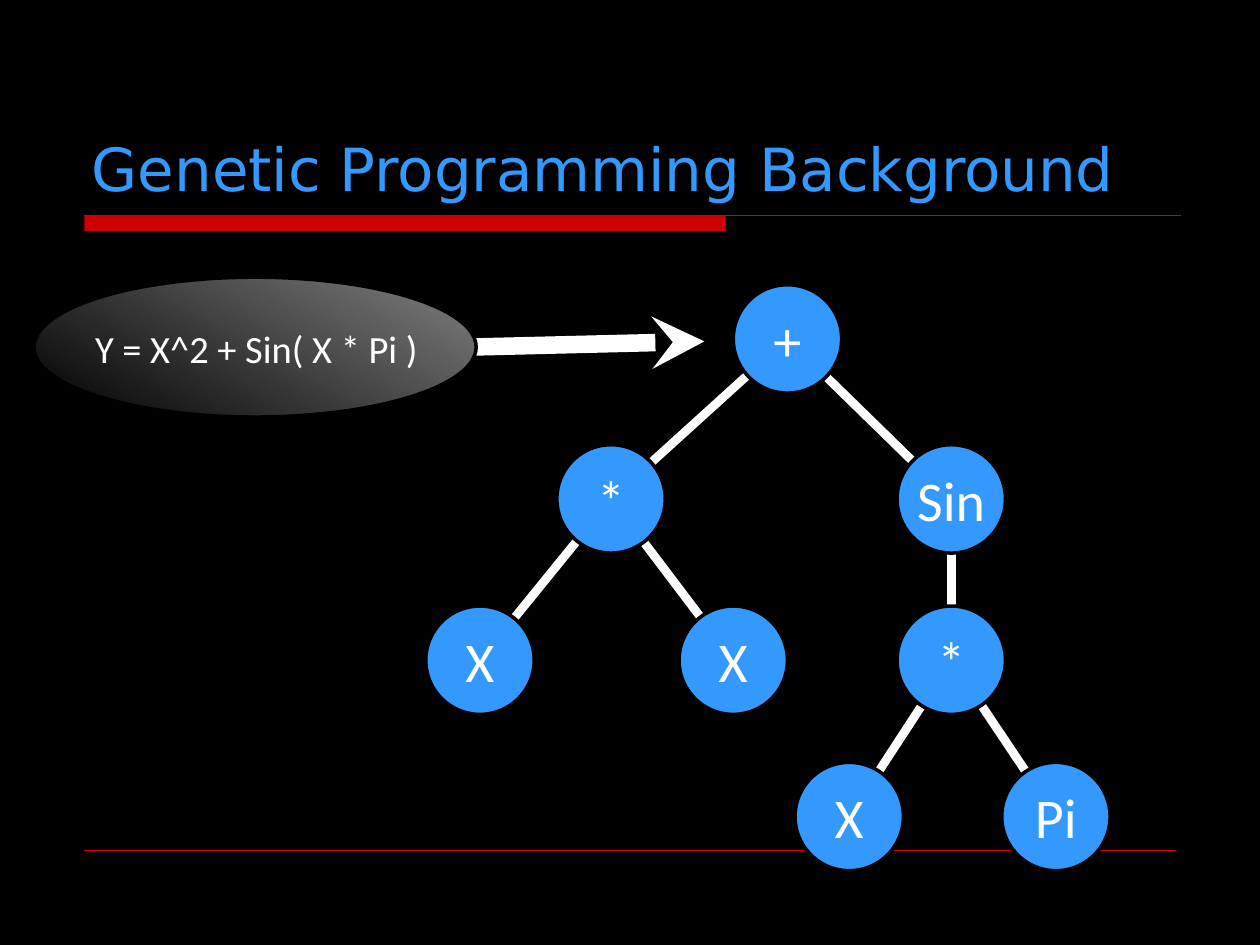
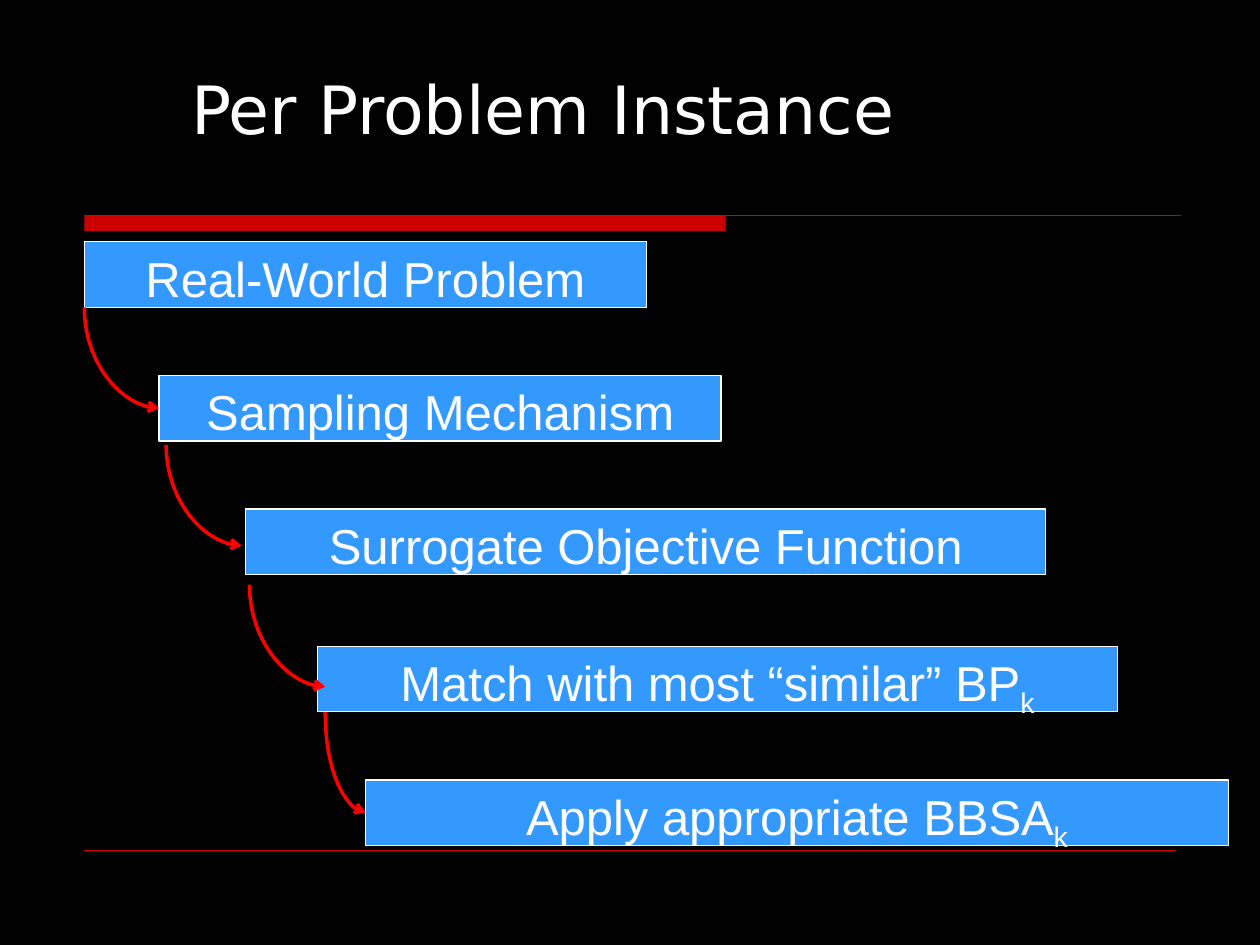
from lxml.etree import SubElement
from pptx import Presentation
from pptx.dml.color import RGBColor
from pptx.enum.shapes import MSO_CONNECTOR, MSO_SHAPE
from pptx.enum.text import MSO_ANCHOR, PP_ALIGN
from pptx.oxml.ns import qn
from pptx.util import Pt

COLORS = {
    "background": "000000",
    "white": "FFFFFF",
    "blue": "3399FF",
    "band": "CC0000",
    "rule": "404040",
    "arrow": "FF0000",
    "grey": "7F7F7F",
}
TITLE_FONT, TREE_FONT, STEP_FONT = "DejaVu Sans", "Calibri", "Arial"

MARGIN = 48.24
BAND_TOP = 123.1
NODE_SIZE = 61.9
STEP_HEIGHT = 37.4

LEVELS = [193.7, 285.1, 377.3, 466.6]
# name: (label, centre x, level)
NODES = {
    "plus": ("+", 450, 0),
    "square": ("*", 349.2, 1),
    "sin": ("Sin", 543.6, 1),
    "left x": ("X", 274.3, 2),
    "right x": ("X", 419, 2),
    "product": ("*", 543.6, 2),
    "factor x": ("X", 485.3, 3),
    "pi": ("Pi", 603.4, 3),
}
EDGES = [
    ("plus", "square"), ("plus", "sin"),
    ("square", "left x"), ("square", "right x"),
    ("sin", "product"),
    ("product", "factor x"), ("product", "pi"),
]

# text, subscript, left, top, width
STEPS = [
    ("Real-World Problem", "", 48.2, 138.2, 321.1),
    ("Sampling Mechanism", "", 90.9, 214.6, 321.1),
    ("Surrogate Objective Function", "", 140.4, 290.9, 457.2),
    ("Match with most “similar” BP", "k", 181.4, 369.4, 457.2),
    ("Apply appropriate BBSA", "k", 208.8, 445.7, 493.2),
]
# start x, start y, end x, end y
STEP_ARROWS = [
    (48.2, 175.7, 90.9, 233.3),
    (95, 254.2, 138.2, 311.8),
    (142.6, 334.1, 185.8, 392.4),
    (185.8, 406.8, 208.8, 464.4),
]


def rgb(name):
    return RGBColor.from_string(COLORS[name])


def style_line(line, color, width):
    line.color.rgb = rgb(color)
    line.width = Pt(width)


def set_insets(tf, left, top, right, bottom):
    tf.margin_left, tf.margin_top = Pt(left), Pt(top)
    tf.margin_right, tf.margin_bottom = Pt(right), Pt(bottom)


def write(tf, text, font, size, color="white", align=PP_ALIGN.CENTER, subscript=""):
    p = tf.paragraphs[0]
    p.alignment = align
    p.add_run().text = text
    if subscript:
        r = p.add_run()
        r.text = subscript
        r._r.get_or_add_rPr().set("baseline", "-25000")
    p.font.name, p.font.size = font, Pt(size)
    p.font.color.rgb = rgb(color)


def add_box(slide, shape_type, left, top, width, height, fill=None):
    sp = slide.shapes.add_shape(shape_type, Pt(left), Pt(top), Pt(width), Pt(height))
    sp.shadow.inherit = False
    if fill:
        sp.fill.solid()
        sp.fill.fore_color.rgb = rgb(fill)
    return sp


def add_line(slide, x1, y1, x2, y2, color, width, arrowhead=None, kind=MSO_CONNECTOR.STRAIGHT):
    line = slide.shapes.add_connector(kind, Pt(x1), Pt(y1), Pt(x2), Pt(y2))
    style_line(line.line, color, width)
    if arrowhead:
        SubElement(line.line._get_or_add_ln(), qn("a:tailEnd"), type=arrowhead)
    SubElement(line._element.spPr, qn("a:effectLst"))
    return line


def add_bend(slide, x1, y1, x2, y2):
    """Curved arrow that leaves downwards and arrives from the left."""
    cx, cy = (x1 + x2) / 2, (y1 + y2) / 2
    half_w, half_h = (y2 - y1) / 2, (x2 - x1) / 2
    # Laid out on its side and flipped, then turned by 270 degrees.
    line = add_line(slide, cx + half_w, cy - half_h, cx - half_w, cy + half_h,
                    "arrow", 2, "arrow", MSO_CONNECTOR.CURVE)
    spPr = line._element.spPr
    spPr.find(qn("a:xfrm")).set("rot", str(270 * 60000))
    spPr.find(qn("a:prstGeom")).set("prst", "curvedConnector2")


def add_title(slide, text, left, top, width, height, size, color, anchor):
    tf = slide.shapes.add_textbox(Pt(left), Pt(top), Pt(width), Pt(height)).text_frame
    tf.word_wrap = True
    tf.vertical_anchor = anchor
    set_insets(tf, 7.2, 3.6, 2.9, 3.6)
    write(tf, text, TITLE_FONT, size, color, PP_ALIGN.LEFT)


def add_base_slide(prs):
    """Black slide with the red band, its rule and the footer line."""
    slide = prs.slides.add_slide(prs.slide_layouts[6])
    slide.background.fill.solid()
    slide.background.fill.fore_color.rgb = rgb("background")
    add_line(slide, MARGIN, BAND_TOP, 674.9, BAND_TOP, "rule", 0.75)
    band = add_box(slide, MSO_SHAPE.RECTANGLE, MARGIN, BAND_TOP, 366.5, 8.9, "band")
    band.line.fill.background()
    add_line(slide, MARGIN, 486, 672, 486, "band", 0.25)
    return slide


def add_node(slide, label, cx, cy):
    sp = add_box(slide, MSO_SHAPE.OVAL, cx - NODE_SIZE / 2, cy - NODE_SIZE / 2,
                 NODE_SIZE, NODE_SIZE, "blue")
    style_line(sp.line, "background", 2)
    set_insets(sp.text_frame, 0, 0, 0, 0)
    write(sp.text_frame, label, TREE_FONT, 32)


def add_formula(slide, text):
    sp = add_box(slide, MSO_SHAPE.OVAL, 19.4, 158.4, 252.7, 79.9)
    sp.fill.gradient()
    sp.fill.gradient_angle = 61
    for stop, color in zip(sp.fill.gradient_stops, ("background", "grey")):
        stop.color.rgb = rgb(color)
    style_line(sp.line, "background", 2)
    tf = slide.shapes.add_textbox(Pt(42.5), Pt(183.6), Pt(208.1), Pt(31)).text_frame
    tf.word_wrap = False
    tf.vertical_anchor = MSO_ANCHOR.MIDDLE
    set_insets(tf, 0, 0, 0, 0)
    write(tf, text, TREE_FONT, 22)


def add_step(slide, text, subscript, left, top, width):
    sp = add_box(slide, MSO_SHAPE.RECTANGLE, left, top, width, STEP_HEIGHT, "blue")
    style_line(sp.line, "white", 0.75)
    sp.text_frame.vertical_anchor = MSO_ANCHOR.TOP
    write(sp.text_frame, text, STEP_FONT, 28, subscript=subscript)


def build_tree_slide(prs):
    slide = add_base_slide(prs)
    add_line(slide, 133.9, 201.6, 402.5, 195.1, "white", 10, "stealth")
    centres = {name: (x, LEVELS[level]) for name, (_, x, level) in NODES.items()}
    for parent, child in EDGES:
        add_line(slide, *centres[parent], *centres[child], "white", 5)
    add_title(slide, "Genetic Programming Background", 45.4, 23.8, 630, 95.8,
              34, "blue", MSO_ANCHOR.BOTTOM)
    for name, (label, _, _) in NODES.items():
        add_node(slide, label, *centres[name])
    add_formula(slide, "Y = X^2 + Sin( X * Pi )")


def build_steps_slide(prs):
    slide = add_base_slide(prs)
    add_title(slide, "Per Problem Instance", 102.2, 35.3, 573.1, 53.3,
              38, "white", MSO_ANCHOR.TOP)
    for step in STEPS:
        add_step(slide, *step)
    for arrow in STEP_ARROWS:
        add_bend(slide, *arrow)


def main():
    prs = Presentation()
    prs.slide_width, prs.slide_height = Pt(720), Pt(540)
    build_tree_slide(prs)
    build_steps_slide(prs)
    prs.save("out.pptx")


if __name__ == "__main__":
    main()
